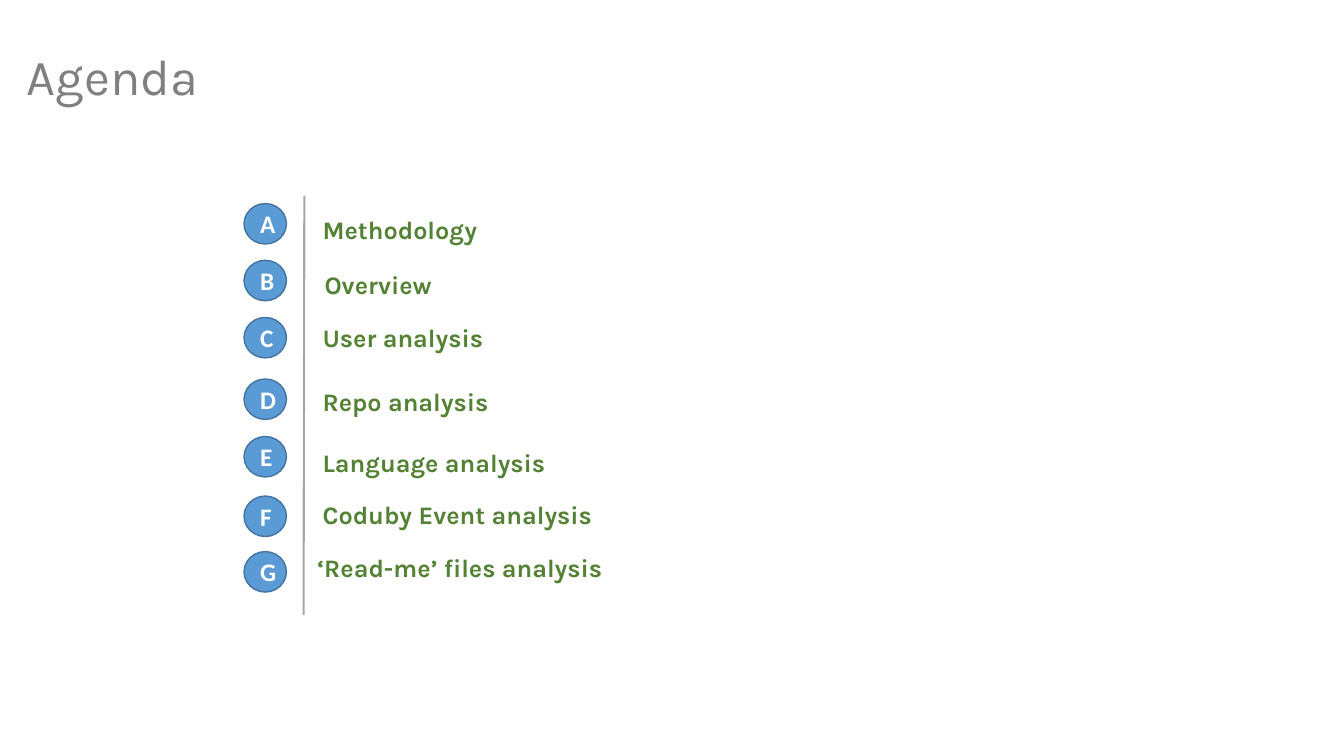
from collections import namedtuple

from pptx import Presentation
from pptx.dml.color import RGBColor
from pptx.enum.shapes import MSO_CONNECTOR, MSO_SHAPE
from pptx.enum.text import MSO_ANCHOR, PP_ALIGN
from pptx.oxml.ns import qn
from pptx.util import Cm, Pt
from lxml.etree import SubElement

GREY = RGBColor(0x80, 0x80, 0x80)
RULE_GREY = RGBColor(0xA6, 0xA6, 0xA6)
BLUE = RGBColor(0x5B, 0x9B, 0xD5)
DARK_BLUE = RGBColor(0x43, 0x73, 0x9E)
GREEN = RGBColor(0x54, 0x82, 0x35)
WHITE = RGBColor(0xFF, 0xFF, 0xFF)

BADGE_WIDTH, BADGE_HEIGHT = 1.07, 1.02
LABEL_HEIGHT = 0.9

Box = namedtuple("Box", "left top width height")
# Badge top, label middle and label left are in cm from the list's corner.
Item = namedtuple("Item", "text badge_top label_middle label_left", defaults=[1.88])

ITEMS = [
    Item("Methodology", 0.2, 0.86),
    Item("Overview", 1.63, 2.23, 1.93),
    Item("User analysis", 3.07, 3.58),
    Item("Repo analysis", 4.62, 5.19),
    Item("Language analysis", 6.07, 6.72),
    Item("Coduby Event analysis", 7.57, 8.04),
    Item("‘Read-me’ files analysis", 8.97, 9.38, 1.75),
]


def write_text(shape, text, *, font, size, color, bold=False, align=PP_ALIGN.LEFT,
               anchor=MSO_ANCHOR.MIDDLE, insets=None, line_spacing=None):
    """Fill a shape with one formatted paragraph; insets are (sides, ends) in cm."""
    frame = shape.text_frame
    frame.word_wrap = True
    frame.vertical_anchor = anchor
    if insets:
        frame.margin_left = frame.margin_right = Cm(insets[0])
        frame.margin_top = frame.margin_bottom = Cm(insets[1])
    paragraph = frame.paragraphs[0]
    paragraph.alignment = align
    paragraph.line_spacing = line_spacing
    run = paragraph.add_run()
    run.text = text
    run.font.name = font
    run.font.size = Pt(size)
    run.font.bold = bold
    run.font.color.rgb = color


def add_title(slide, box):
    title = slide.shapes.add_textbox(*map(Cm, box))
    write_text(title, "Agenda", font="Karla", size=36, color=GREY,
               anchor=MSO_ANCHOR.BOTTOM, line_spacing=0.9)


def add_rule(slide, box):
    """Draw the slightly slanted line between badges and labels."""
    rule = slide.shapes.add_connector(
        MSO_CONNECTOR.STRAIGHT, Cm(box.left + box.width), Cm(box.top),
        Cm(box.left), Cm(box.top + box.height))
    rule.line.color.rgb = RULE_GREY
    rule.line.width = Pt(1.5)
    SubElement(rule._element.spPr, qn("a:effectLst"))


def add_badge(slide, letter, box):
    badge = slide.shapes.add_shape(MSO_SHAPE.OVAL, *map(Cm, box))
    badge.shadow.inherit = False
    badge.fill.solid()
    badge.fill.fore_color.rgb = BLUE
    badge.line.color.rgb = DARK_BLUE
    badge.line.width = Pt(1)
    write_text(badge, letter, font="Calibri", size=18, color=WHITE, bold=True,
               align=PP_ALIGN.CENTER)


def add_label(slide, text, box):
    label = slide.shapes.add_textbox(*map(Cm, box))
    write_text(label, text, font="Karla", size=18, color=GREEN, bold=True,
               insets=(0.1, 0.05))


def add_agenda_list(slide, box):
    add_rule(slide, Box(box.left + 1.5, box.top, 0.02, box.height))
    for letter, item in zip("ABCDEFG", ITEMS):
        add_badge(slide, letter, Box(box.left, box.top + item.badge_top,
                                     BADGE_WIDTH, BADGE_HEIGHT))
        add_label(slide, item.text, Box(
            box.left + item.label_left,
            box.top + item.label_middle - LABEL_HEIGHT / 2,
            box.width - item.label_left, LABEL_HEIGHT))


def main():
    presentation = Presentation()
    presentation.slide_width = Cm(33.87)
    presentation.slide_height = Cm(19.05)
    slide = presentation.slides.add_slide(presentation.slide_layouts[6])
    add_title(slide, Box(0.43, 0.41, 27.61, 2.41))
    add_agenda_list(slide, Box(6.15, 4.93, 21.54, 10.57))
    presentation.save("out.pptx")


if __name__ == "__main__":
    main()
